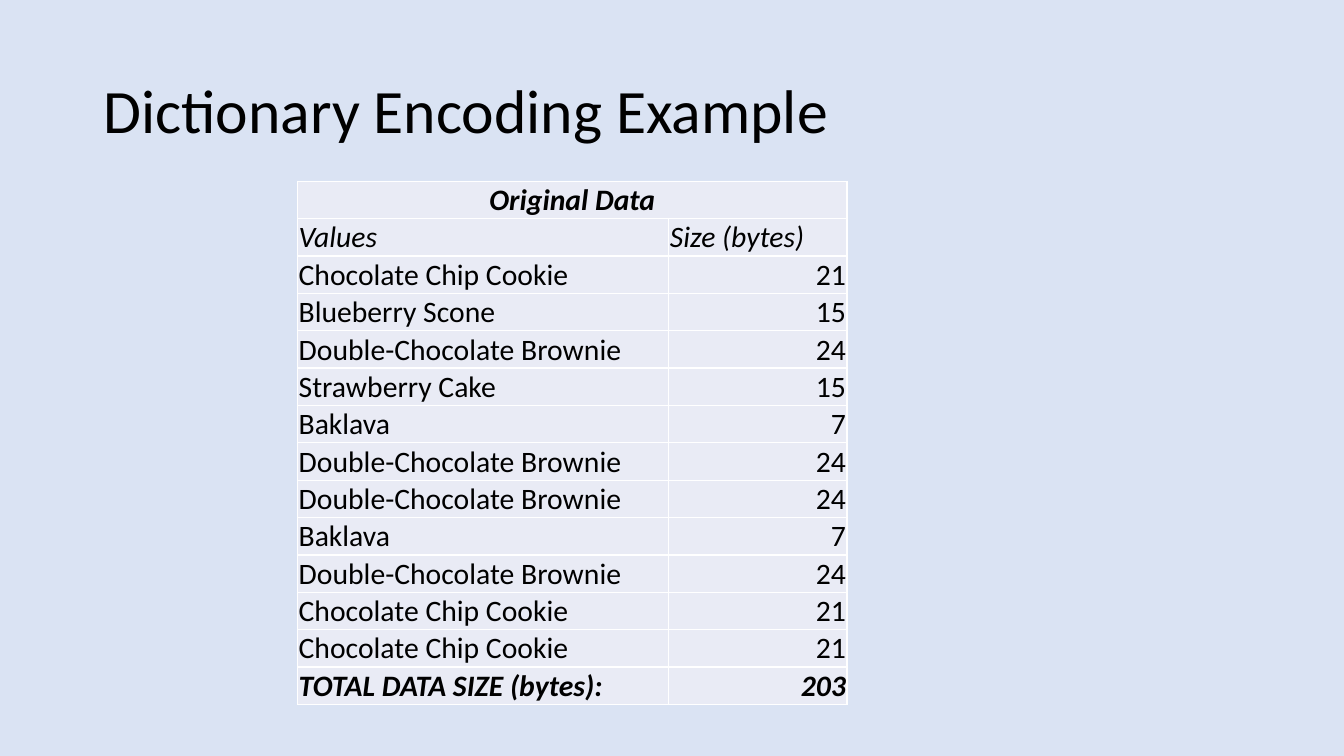
from lxml import etree
from pptx import Presentation
from pptx.dml.color import RGBColor
from pptx.enum.text import MSO_ANCHOR, MSO_AUTO_SIZE, PP_ALIGN
from pptx.oxml.ns import qn
from pptx.util import Pt

LEFT, CENTER, RIGHT = PP_ALIGN.LEFT, PP_ALIGN.CENTER, PP_ALIGN.RIGHT
MIDDLE, BOTTOM = MSO_ANCHOR.MIDDLE, MSO_ANCHOR.BOTTOM
NO_AUTOFIT = MSO_AUTO_SIZE.NONE
TITLE_ONLY_LAYOUT = 5

FONT = "Calibri"
BACKGROUND, CELL_FILL, BORDER, INK = "DAE3F3", "E9EBF5", "FFFFFF", "000000"

SLIDE_SIZE = (907.2, 510.48)
TITLE_BOX = (62.64, 27.36, 782.64, 98.64)
TABLE_BOX = (200.88, 122.4, 370.8, 346.32)
COLUMN_WIDTHS = (250.56, 120.24)
ROW_HEIGHT = 22.32

PASTRY_SIZES = {
    "Chocolate Chip Cookie": 21,
    "Blueberry Scone": 15,
    "Double-Chocolate Brownie": 24,
    "Strawberry Cake": 15,
    "Baklava": 7,
}
ORIGINAL_VALUES = [
    "Chocolate Chip Cookie",
    "Blueberry Scone",
    "Double-Chocolate Brownie",
    "Strawberry Cake",
    "Baklava",
    "Double-Chocolate Brownie",
    "Double-Chocolate Brownie",
    "Baklava",
    "Double-Chocolate Brownie",
    "Chocolate Chip Cookie",
    "Chocolate Chip Cookie",
]


def color(value):
    return RGBColor.from_string(value)


def write_text(text_frame, text, size=20, bold=False, italic=False, align=LEFT, line_spacing=1.0):
    paragraph = text_frame.paragraphs[0]
    paragraph.alignment = align
    paragraph.line_spacing = line_spacing
    run = paragraph.add_run()
    run.text = text
    run.font.name = FONT
    run.font.size = Pt(size)
    run.font.bold = bold
    run.font.italic = italic
    run.font.color.rgb = color(INK)


def format_cell(cell):
    cell.margin_left = cell.margin_right = cell.margin_top = Pt(0.72)
    cell.margin_bottom = Pt(0)
    cell.vertical_anchor = BOTTOM
    properties = cell._tc.get_or_add_tcPr()
    for side in ("a:lnL", "a:lnR", "a:lnT", "a:lnB"):
        line = etree.SubElement(properties, qn(side), w=str(Pt(1)))
        line_fill = etree.SubElement(line, qn("a:solidFill"))
        etree.SubElement(line_fill, qn("a:srgbClr"), val=BORDER)
    cell.fill.solid()
    cell.fill.fore_color.rgb = color(CELL_FILL)


def add_title(slide, box, text):
    title = slide.shapes.title
    title.left, title.top, title.width, title.height = map(Pt, box)
    title.text_frame.auto_size = NO_AUTOFIT
    title.text_frame.word_wrap = True
    title.text_frame.vertical_anchor = MIDDLE
    write_text(title.text_frame, text, size=41.6, line_spacing=0.9)


def add_data_table(slide, box, values):
    sizes = [PASTRY_SIZES[value] for value in values]
    frame = slide.shapes.add_table(len(values) + 3, 2, *map(Pt, box))
    table = frame.table
    table.first_row = table.horz_banding = False
    for column, width in zip(table.columns, COLUMN_WIDTHS):
        column.width = Pt(width)
    for row in table.rows:
        row.height = Pt(ROW_HEIGHT)
    frame.height = Pt(box[3])
    for cell in table.iter_cells():
        format_cell(cell)

    heading = table.cell(0, 0)
    heading.merge(table.cell(0, 1))
    write_text(heading.text_frame, "Original Data", bold=True, italic=True, align=CENTER)
    for column, label in enumerate(("Values", "Size (bytes)")):
        write_text(table.cell(1, column).text_frame, label, italic=True)

    entries = list(zip(values, sizes)) + [("TOTAL DATA SIZE (bytes):", sum(sizes))]
    for row, (label, size) in enumerate(entries, start=2):
        total = row == len(entries) + 1
        write_text(table.cell(row, 0).text_frame, label, bold=total, italic=total)
        write_text(table.cell(row, 1).text_frame, str(size), bold=total, italic=total, align=RIGHT)


def main():
    presentation = Presentation()
    presentation.slide_width, presentation.slide_height = map(Pt, SLIDE_SIZE)
    slide = presentation.slides.add_slide(presentation.slide_layouts[TITLE_ONLY_LAYOUT])
    slide.background.fill.solid()
    slide.background.fill.fore_color.rgb = color(BACKGROUND)
    add_title(slide, TITLE_BOX, "Dictionary Encoding Example")
    add_data_table(slide, TABLE_BOX, ORIGINAL_VALUES)
    presentation.save("out.pptx")


if __name__ == "__main__":
    main()
